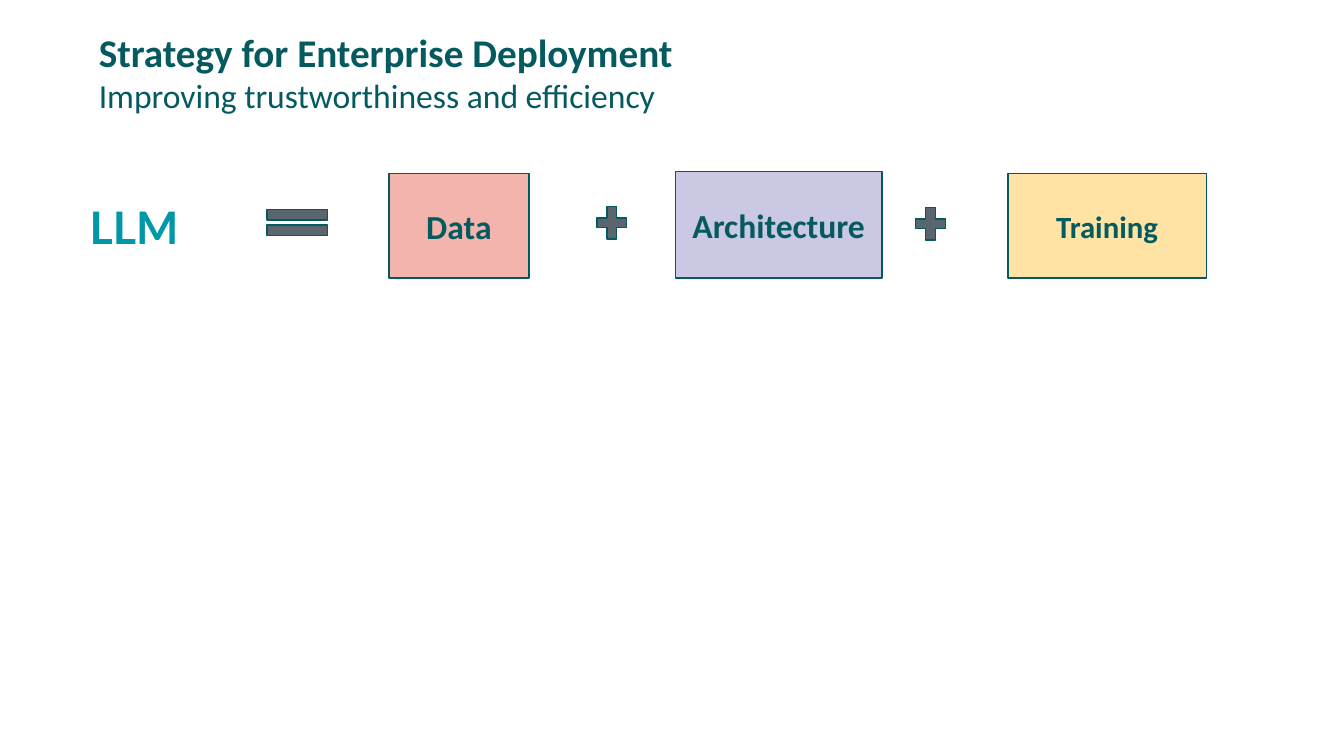
from pptx import Presentation
from pptx.dml.color import RGBColor
from pptx.enum.shapes import MSO_SHAPE
from pptx.enum.text import MSO_ANCHOR, PP_ALIGN
from pptx.util import Cm, Pt

COLORS = {
    "teal": "055A60",
    "cyan": "0097A9",
    "grey": "5B656E",
    "pink": "F2B4AD",
    "lilac": "CAC8E2",
    "yellow": "FFE3A4",
}

# Content: lengths in cm, text sizes in points
# Each line of text: wording, size, bold, font, colour
HEADING = [
    ("Strategy for Enterprise Deployment", 28, True, "Calibri", "teal"),
    ("Improving trustworthiness and efficiency", 24, False, "Calibri", "teal"),
]
RESULT = [("LLM", 32, True, "Lato", "cyan")]

# Ingredients: wording, size, fill, left, top, width
INGREDIENTS = [
    ("Data", 24, "pink", 9.8, 4.37, 3.53),
    ("Architecture", 24, "lilac", 17.02, 4.32, 5.21),
    ("Training", 22, "yellow", 25.4, 4.37, 5),
]
INGREDIENT_BOTTOM = 7.01

# Operators: shape, left, top, width
OPERATORS = [
    (MSO_SHAPE.MATH_EQUAL, 6.45, 5.05, 2.08),
    (MSO_SHAPE.MATH_PLUS, 14.91, 5.05, 1.02),
    (MSO_SHAPE.MATH_PLUS, 22.94, 5.08, 1.02),
]
OPERATOR_HEIGHT = 1.12


def color(name):
    return RGBColor.from_string(COLORS[name])


def write(frame, lines, align=PP_ALIGN.LEFT):
    frame.word_wrap = True
    for i, (wording, size, bold, font, ink) in enumerate(lines):
        paragraph = frame.add_paragraph() if i else frame.paragraphs[0]
        paragraph.text = wording
        paragraph.alignment = align
        paragraph.font.name = font
        paragraph.font.size = Pt(size)
        paragraph.font.bold = bold
        paragraph.font.color.rgb = color(ink)


def add_text(slide, lines, left, top, width, height):
    box = slide.shapes.add_textbox(Cm(left), Cm(top), Cm(width), Cm(height))
    write(box.text_frame, lines)


def add_outlined(slide, kind, fill, left, top, width, height):
    shape = slide.shapes.add_shape(kind, Cm(left), Cm(top), Cm(width), Cm(height))
    shape.shadow.inherit = False
    shape.fill.solid()
    shape.fill.fore_color.rgb = color(fill)
    shape.line.color.rgb = color("teal")
    shape.line.width = Pt(1)
    return shape


def main():
    deck = Presentation()
    deck.slide_width, deck.slide_height = Cm(33.87), Cm(19.05)
    slide = deck.slides.add_slide(deck.slide_layouts[6])

    # Title and subtitle
    add_text(slide, HEADING, 2.24, 0.58, 19.38, 2.49)

    # Ingredient boxes, all standing on one line
    for wording, size, fill, left, top, width in INGREDIENTS:
        ingredient = add_outlined(slide, MSO_SHAPE.RECTANGLE, fill,
                                  left, top, width, INGREDIENT_BOTTOM - top)
        ingredient.text_frame.vertical_anchor = MSO_ANCHOR.MIDDLE
        write(ingredient.text_frame, [(wording, size, True, "Calibri", "teal")],
              PP_ALIGN.CENTER)

    # Equal and plus signs
    for kind, left, top, width in OPERATORS:
        add_outlined(slide, kind, "grey", left, top, width, OPERATOR_HEIGHT)

    # Left side of the equation
    add_text(slide, RESULT, 2.01, 4.9, 2.9, 1.63)

    deck.save("out.pptx")


if __name__ == "__main__":
    main()
